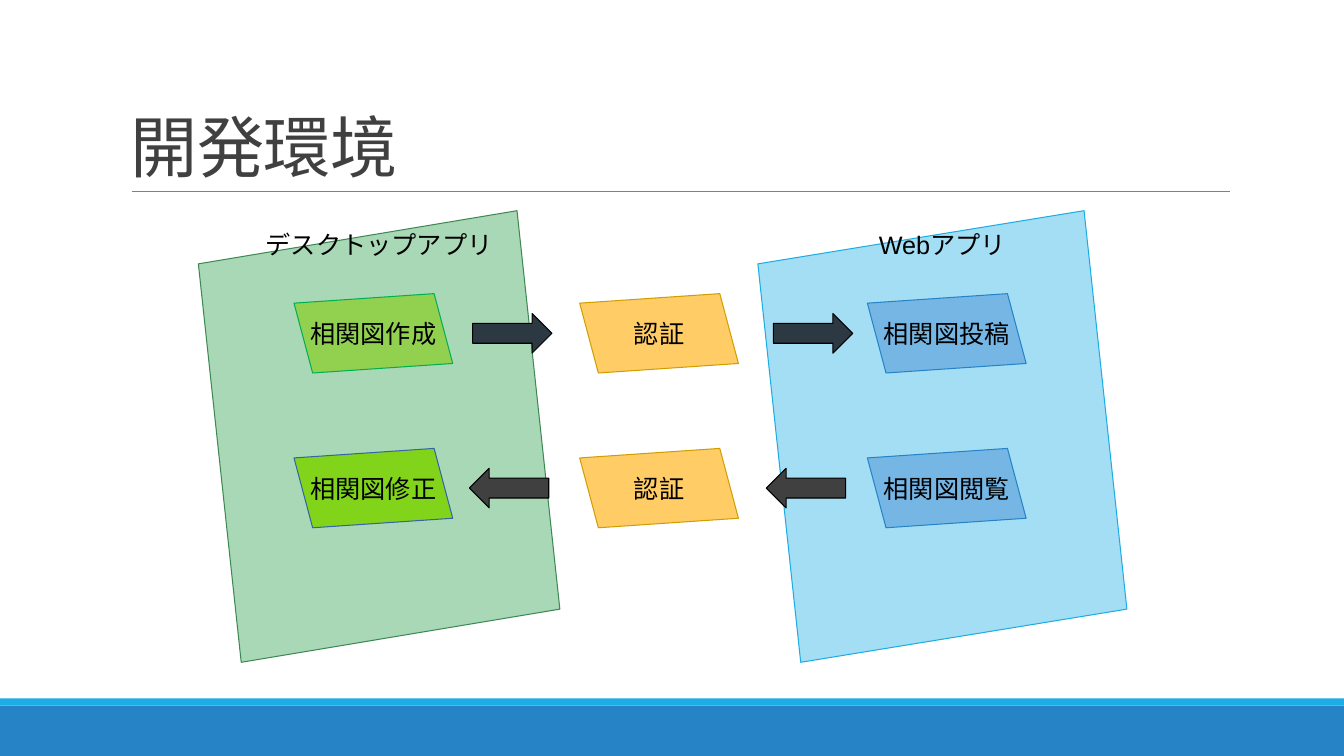
from pptx import Presentation
from pptx.dml.color import RGBColor
from pptx.enum.shapes import MSO_CONNECTOR, MSO_SHAPE
from pptx.enum.text import MSO_ANCHOR, PP_ALIGN
from pptx.oxml.ns import qn
from pptx.util import Cm, Pt
from lxml.etree import SubElement

COLORS = {
    "title": "404040", "text": "000000", "rule": "808080",
    "band": "2683C6", "stripe": "1CADE4",
    "desktop": "A9D8B7", "desktop_edge": "3E8853",
    "web": "A4DEF4", "web_edge": "1CADE4",
    "create": "92D050", "create_edge": "00B050",
    "revise": "81D41A", "revise_edge": "3465A4",
    "auth": "FFCC66", "auth_edge": "D09E00",
    "server": "75B6E5", "server_edge": "2683C6",
    "send": "2C3943", "receive": "404040", "arrow_edge": "000000",
}


def paint(shape, fill, edge=None):
    shape.shadow.inherit = False
    shape.fill.solid()
    shape.fill.fore_color.rgb = RGBColor.from_string(COLORS[fill])
    if edge:
        shape.line.color.rgb = RGBColor.from_string(COLORS[edge])
        shape.line.width = Pt(0)
    else:
        shape.line.fill.background()


def add_slanted(page, label, color, left, top, width, height, shift, drop):
    right, bottom = left + width, top + height
    builder = page.shapes.build_freeform(Cm(left), Cm(top + drop))
    builder.add_line_segments([
        (Cm(right - shift), Cm(top)),
        (Cm(right), Cm(bottom - drop)),
        (Cm(left + shift), Cm(bottom)),
    ], close=True)
    shape = builder.convert_to_shape()
    paint(shape, color, color + "_edge")
    frame = shape.text_frame
    frame.word_wrap = False
    frame.vertical_anchor = MSO_ANCHOR.MIDDLE
    para = frame.paragraphs[0]
    para.text = label
    para.alignment = PP_ALIGN.CENTER
    para.font.size = Pt(18)
    para.font.name = "Arial"
    para.font.color.rgb = RGBColor.from_string(COLORS["text"])
    return shape


deck = Presentation()
deck.slide_width, deck.slide_height = Cm(33.87), Cm(19.05)
page = deck.slides.add_slide(deck.slide_layouts[6])

for color, top, height in [("band", 17.78, 1.27), ("stripe", 17.6, 0.18)]:
    bar = page.shapes.add_shape(MSO_SHAPE.RECTANGLE, 0, Cm(top), deck.slide_width, Cm(height))
    paint(bar, color)

rule = page.shapes.add_connector(MSO_CONNECTOR.STRAIGHT, Cm(3.32), Cm(4.82), Cm(31), Cm(4.82))
rule.line.color.rgb = RGBColor.from_string(COLORS["rule"])
rule.line.width = Pt(0.5)
SubElement(rule.element.spPr, qn("a:effectLst"))

title = page.shapes.add_textbox(Cm(3.05), Cm(0.79), Cm(27.94), Cm(4.03))
title.text_frame.word_wrap = True
title.text_frame.vertical_anchor = MSO_ANCHOR.BOTTOM
para = title.text_frame.paragraphs[0]
para.line_spacing = 0.85
span = para.add_run()
span.text = "開発環境"
span.font._element.set("spc", "-50")
para.font.size = Pt(48)
para.font.name = "Calibri"
para.font.color.rgb = RGBColor.from_string(COLORS["title"])

for label, color, left, width in [
    ("デスクトップアプリ", "desktop", 5, 9.11),
    ("Webアプリ", "web", 19.1, 9.3),
]:
    panel = add_slanted(page, label, color, left, 5.31, width, 11.38, 1.08, 1.34)
    panel.text_frame.vertical_anchor = MSO_ANCHOR.TOP
    panel.text_frame.margin_top = Cm(0.48)

columns = [7.41, 14.61, 21.86]
rows = [
    (7.4, [("相関図作成", "create"), ("認証", "auth"), ("相関図投稿", "server")],
     MSO_SHAPE.RIGHT_ARROW, "send", [11.91, 19.49]),
    (11.3, [("相関図修正", "revise"), ("認証", "auth"), ("相関図閲覧", "server")],
     MSO_SHAPE.LEFT_ARROW, "receive", [11.83, 19.31]),
]
for top, steps, arrow_kind, arrow_color, arrow_lefts in rows:
    for left, (label, color) in zip(columns, steps):
        add_slanted(page, label, color, left, top, 4, 2, 0.47, 0.24)
    for left in arrow_lefts:
        arrow = page.shapes.add_shape(arrow_kind, Cm(left), Cm(top + 0.5), Cm(2), Cm(1))
        paint(arrow, arrow_color, "arrow_edge")

deck.save("out.pptx")
